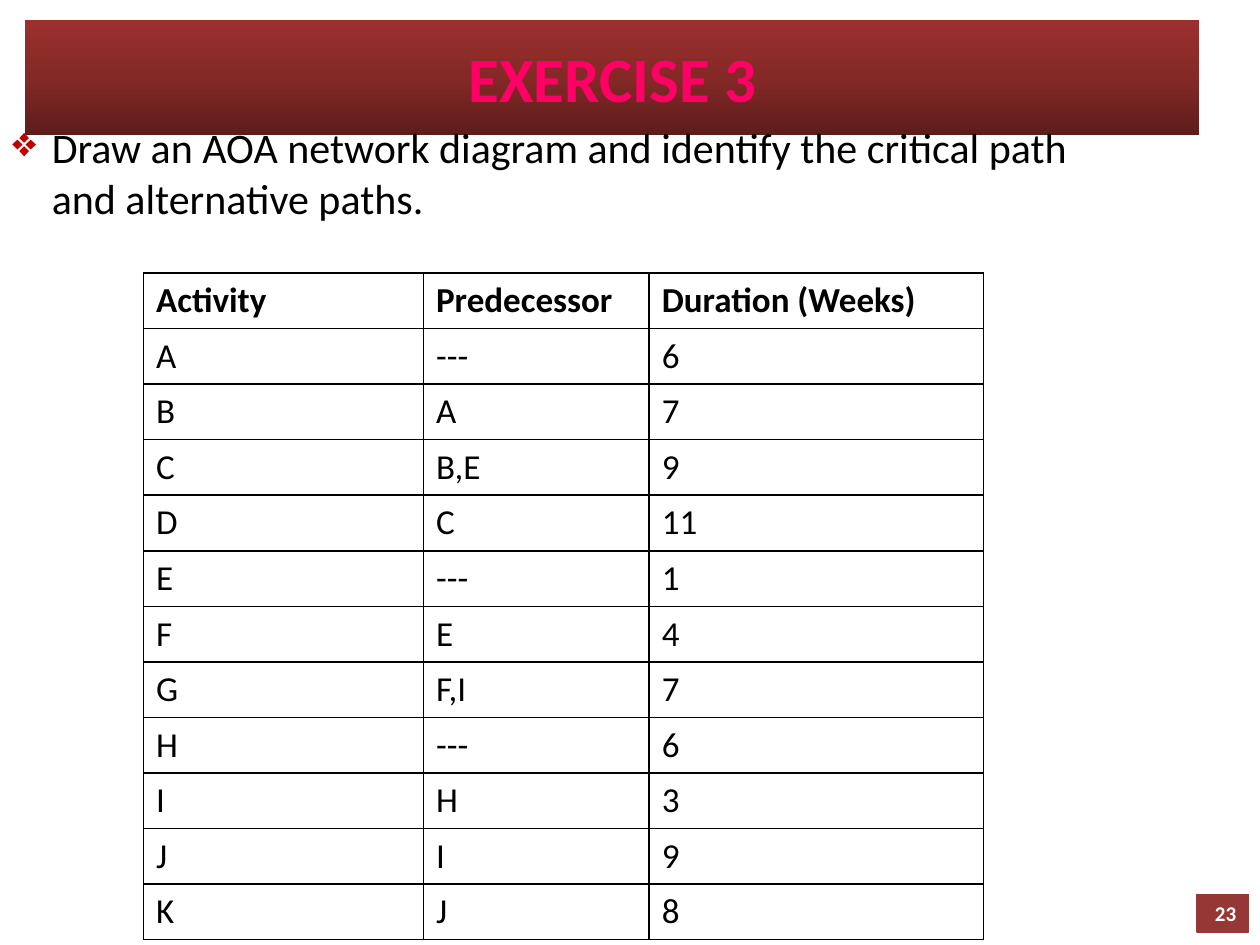
from copy import deepcopy

from pptx import Presentation
from pptx.dml.color import RGBColor as RGB
from pptx.enum.shapes import MSO_SHAPE as Shape
from pptx.enum.text import MSO_ANCHOR as Anchor, PP_ALIGN as Align
from pptx.oxml import parse_xml
from pptx.oxml.ns import nsdecls, qn
from pptx.util import Pt

FONT = "Calibri"
DARK = RGB(0x5D, 0x1D, 0x1B)
MID = RGB(0x84, 0x29, 0x26)
LIGHT = RGB(0x9C, 0x30, 0x2E)
BRICK = RGB(0x95, 0x37, 0x35)
RED = RGB(0xC0, 0x00, 0x00)
PINK = RGB(0xFF, 0x00, 0x66)
BLACK = RGB(0, 0, 0)
WHITE = RGB(255, 255, 255)

HEAD = ("Activity", "Predecessor", "Duration (Weeks)")
TASKS = [
    ("A", "---", "6"),
    ("B", "A", "7"),
    ("C", "B,E", "9"),
    ("D", "C", "11"),
    ("E", "---", "1"),
    ("F", "E", "4"),
    ("G", "F,I", "7"),
    ("H", "---", "6"),
    ("I", "H", "3"),
    ("J", "I", "9"),
    ("K", "J", "8"),
]
WIDTHS = (160, 129, 191)


def write(frame, text, size, color, bold=False, align=None):
    para = frame.paragraphs[0]
    para.text = text
    para.alignment = align
    font = para.font
    font.name, font.size, font.bold = FONT, Pt(size), bold
    font.color.rgb = color


def add_block(slide, box):
    block = slide.shapes.add_shape(Shape.RECTANGLE, *map(Pt, box))
    block.shadow.inherit = False
    block.text_frame.vertical_anchor = Anchor.MIDDLE
    block.text_frame.word_wrap = True
    return block


def add_title(slide, box, text):
    block = add_block(slide, box)
    block.line.fill.background()
    fill = block.fill
    fill.gradient()
    fill.gradient_angle = 90
    stops = block._element.spPr.find(qn("a:gradFill")).find(qn("a:gsLst"))
    stops.insert(1, deepcopy(stops[0]))
    for stop, color, place in zip(fill.gradient_stops, (DARK, MID, LIGHT), (0, 0.5, 1)):
        stop.color.rgb = color
        stop.position = place
    write(block.text_frame, text, 36, PINK, True, Align.CENTER)


def add_number(slide, box, text):
    block = add_block(slide, box)
    block.fill.solid()
    block.fill.fore_color.rgb = BRICK
    block.line.color.rgb = BRICK
    block.line.width = Pt(0.75)
    write(block.text_frame, text, 12, WHITE, True, Align.RIGHT)


def add_task(slide, box, text):
    frame = slide.shapes.add_textbox(*map(Pt, box)).text_frame
    frame.word_wrap = True
    props = frame.paragraphs[0]._p.get_or_add_pPr()
    indent = Pt(22.5)
    props.set("marL", str(indent))
    props.set("indent", str(-indent))
    props.append(parse_xml(f'<a:buClr {nsdecls("a")}><a:srgbClr val="{RED}"/></a:buClr>'))
    props.append(parse_xml(f'<a:buChar {nsdecls("a")} char="❖"/>'))
    write(frame, text, 24, BLACK)


def add_border(cell):
    props = cell._tc.get_or_add_tcPr()
    for at, side in enumerate(("lnL", "lnR", "lnT", "lnB")):
        props.insert(at, parse_xml(
            f'<a:{side} {nsdecls("a")} w="{Pt(1)}"><a:solidFill>'
            f'<a:srgbClr val="{BLACK}"/></a:solidFill></a:{side}>'))


def add_grid(slide, box, rows):
    table = slide.shapes.add_table(len(rows), len(WIDTHS), *map(Pt, box)).table
    table.horz_banding = False
    for col, width in zip(table.columns, WIDTHS):
        col.width = Pt(width)
    for r, row in enumerate(rows):
        table.rows[r].height = Pt(box[3] / len(rows))
        for c, text in enumerate(row):
            cell = table.cell(r, c)
            cell.fill.background()
            add_border(cell)
            write(cell.text_frame, text, 20, BLACK, r == 0)


def main():
    deck = Presentation()
    deck.slide_width, deck.slide_height = Pt(720), Pt(540)
    slide = deck.slides.add_slide(deck.slide_layouts[6])
    add_title(slide, (14.4, 11.5, 671, 65.5), "EXERCISE 3")
    add_number(slide, (684, 511, 29.5, 21.6), "23")
    add_grid(slide, (82, 156, sum(WIDTHS), 381), [HEAD, *TASKS])
    add_task(slide, (0, 66, 657.5, 65.5),
             "Draw an AOA network diagram and identify the critical path and alternative paths.")
    deck.save("out.pptx")


if __name__ == "__main__":
    main()
